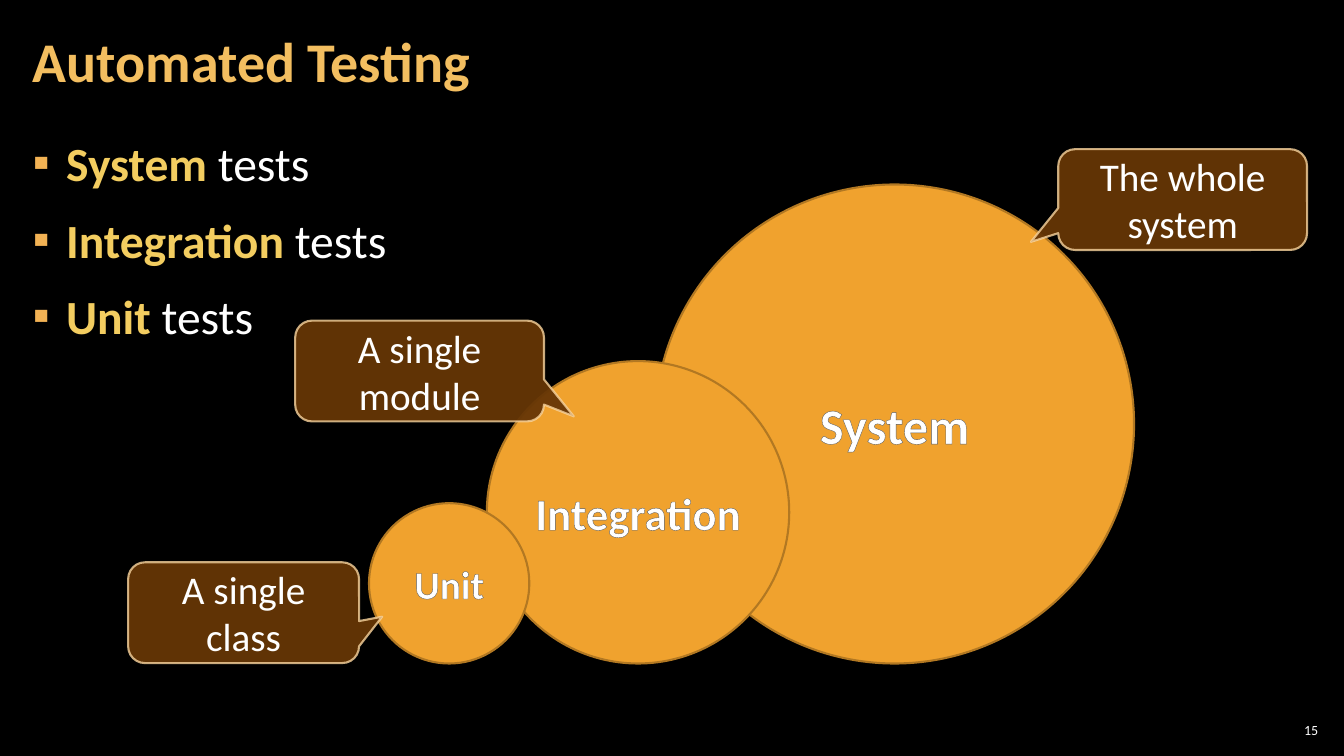
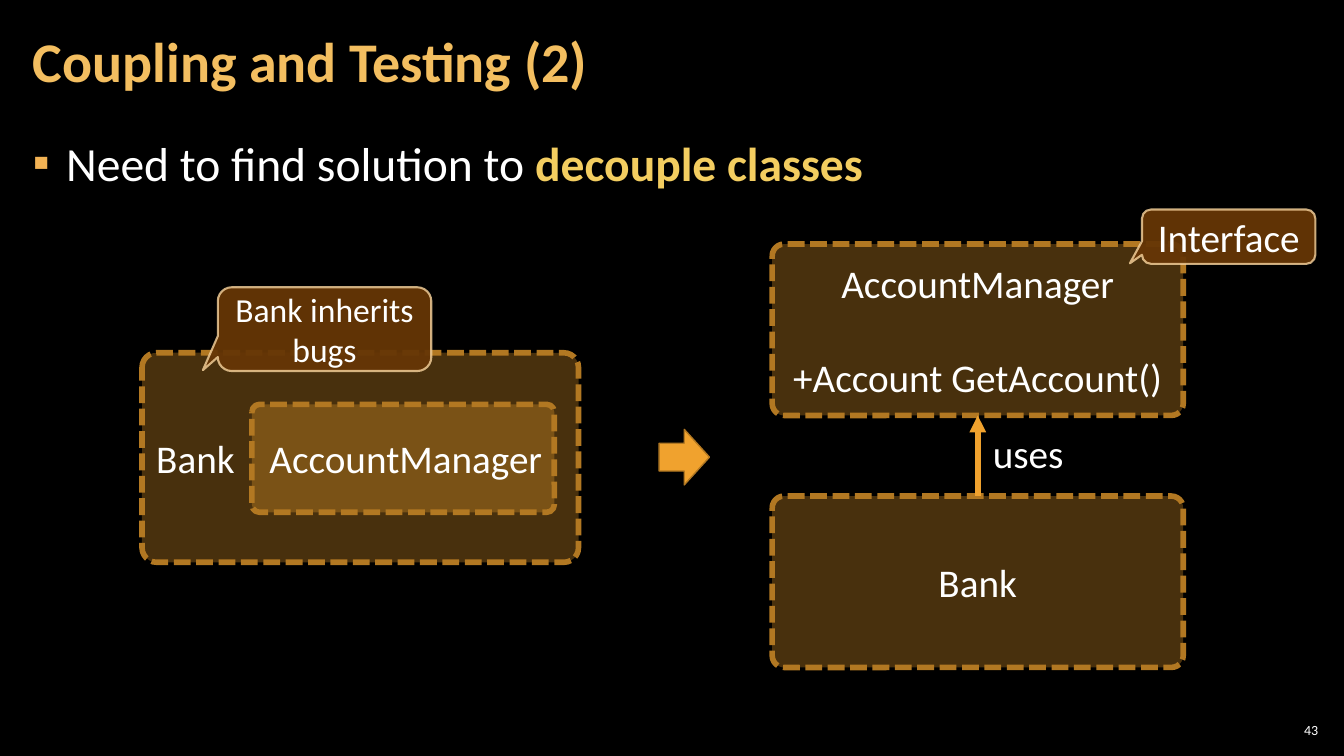
"""Build two dark slides about automated testing and decoupling classes."""
from lxml.etree import SubElement
from pptx import Presentation
from pptx.dml.color import RGBColor
from pptx.enum.dml import MSO_LINE
from pptx.enum.shapes import MSO_CONNECTOR, MSO_SHAPE
from pptx.enum.text import MSO_ANCHOR, PP_ALIGN
from pptx.oxml.ns import qn
from pptx.util import Cm, Pt

BLACK = RGBColor(0x00, 0x00, 0x00)
WHITE = RGBColor(0xFF, 0xFF, 0xFF)
TITLE_GOLD = RGBColor(0xF3, 0xBE, 0x60)
STRONG_YELLOW = RGBColor(0xF3, 0xCD, 0x60)
BULLET_ORANGE = RGBColor(0xF2, 0xB2, 0x54)
ORANGE = RGBColor(0xF0, 0xA2, 0x2E)
DARK_ORANGE = RGBColor(0xB2, 0x78, 0x22)
BROWN = RGBColor(0x66, 0x36, 0x06)
CREAM = RGBColor(0xF8, 0xD4, 0x9E)
OUTLINE_GREY = RGBColor(0x59, 0x59, 0x59)

SOLID = {"fill": ORANGE, "line": DARK_ORANGE, "width": 1.5}
ARROW = SOLID | {"width": 1}
CALLOUT = {"fill": BROWN, "line": CREAM, "width": 1.5, "fill_alpha": 95, "line_alpha": 80}
CLASS_BOX = {"fill": ORANGE, "line": DARK_ORANGE, "width": 4, "fill_alpha": 30,
             "dash": MSO_LINE.SQUARE_DOT}

PLAIN = {"bold": False, "color": WHITE}
STRONG = {"bold": True, "color": STRONG_YELLOW}
HEADING = {"bold": True, "color": TITLE_GOLD}
LABEL = {"bold": True, "color": WHITE}

CENTER = {"alignment": PP_ALIGN.CENTER}
RIGHT = {"alignment": PP_ALIGN.RIGHT}
TITLE_LINE = {"line_spacing": 0.9}
BODY_LINE = {"line_spacing": 1.05, "space_before": Pt(6), "space_after": Pt(6)}
MIDDLE = {"word_wrap": True, "vertical_anchor": MSO_ANCHOR.MIDDLE}
TOP = {"word_wrap": True, "vertical_anchor": MSO_ANCHOR.TOP}
UNWRAPPED = {"word_wrap": False}
WIDE = {"margin_left": Cm(0.3), "margin_right": Cm(0.3),
        "margin_top": Cm(0.1), "margin_bottom": Cm(0.1)}
NARROW = dict.fromkeys(WIDE, Cm(0.1))
NO_SIDES = {"margin_left": 0, "margin_right": 0}


def write_text(box, lines, size, frame_format, line_format):
    """Fill a box with lines, each a list of (text, font format) pairs."""
    frame = box.text_frame
    for name, value in frame_format.items():
        setattr(frame, name, value)
    for index, line in enumerate(lines):
        para = frame.add_paragraph() if index else frame.paragraphs[0]
        for name, value in line_format.items():
            setattr(para, name, value)
        for text, look in line:
            span = para.add_run()
            span.text = text
            span.font.name = "Calibri"
            span.font.size = Pt(size)
            span.font.bold = look["bold"]
            span.font.color.rgb = look["color"]


def add_box(shapes, kind, place, style, adjustments=()):
    """Add a preset shape with the given style."""
    box = shapes.add_shape(kind, *map(Cm, place))
    box.shadow.inherit = False
    for index, value in enumerate(adjustments):
        box.adjustments[index] = value
    box.fill.solid()
    box.fill.fore_color.rgb = style["fill"]
    box.line.color.rgb = style["line"]
    box.line.width = Pt(style["width"])
    if "dash" in style:
        box.line.dash_style = style["dash"]
    properties = box._element.spPr
    for name, parent in (("fill_alpha", properties), ("line_alpha", properties.find(qn("a:ln")))):
        if name in style:
            color = parent.find(qn("a:solidFill")).find(qn("a:srgbClr"))
            SubElement(color, qn("a:alpha"), val=str(style[name] * 1000))
    return box


deck = Presentation()
deck.slide_width, deck.slide_height = Cm(33.87), Cm(19.05)

SLIDES = [
    ("Automated Testing", "15",
     [[(kind, STRONG), (" tests", PLAIN)] for kind in ("System", "Integration", "Unit")]),
    ("Coupling and Testing (2)", "43",
     [[("Need to find solution to ", PLAIN), ("decouple classes", STRONG)]]),
]
pages = []
for title, number, bullets in SLIDES:
    page = deck.slides.add_slide(deck.slide_layouts[6])
    page.background.fill.solid()
    page.background.fill.fore_color.rgb = BLACK
    body = page.shapes.add_textbox(Cm(0.53), Cm(3.2), Cm(32.79), Cm(15.47))
    write_text(body, bullets, 34, TOP | WIDE, BODY_LINE)
    for index, para in enumerate(body.text_frame.paragraphs):
        if index == 0:
            para.space_before = Pt(0)
        properties = para._p.get_or_add_pPr()
        properties.set("marL", str(Cm(0.84)))
        properties.set("indent", str(-Cm(0.84)))
        bullet_color = SubElement(properties, qn("a:buClr"))
        SubElement(bullet_color, qn("a:srgbClr"), val=str(BULLET_ORANGE))
        SubElement(properties, qn("a:buFont"), typeface="Calibri")
        SubElement(properties, qn("a:buChar"), char="▪")
    footer = page.shapes.add_textbox(Cm(32.13), Cm(18.14), Cm(1.19), Cm(0.53))
    write_text(footer, [[(number, PLAIN)]], 10, MIDDLE | NARROW, RIGHT)
    heading = page.shapes.add_textbox(Cm(0.53), Cm(0.1), Cm(26.59), Cm(3.07))
    write_text(heading, [[(title, HEADING)]], 40, MIDDLE | WIDE, TITLE_LINE)
    pages.append(page)
testing_page, coupling_page = pages

CIRCLE_BOTTOM = 16.72
CIRCLES = [
    ("System", 16.51, 12.07, 36, {}),
    ("Integration", 12.27, 7.62, 32, NO_SIDES),
    ("Unit", 9.3, 4.04, 28, {}),
]
for text, left, diameter, size, margins in CIRCLES:
    place = (left, CIRCLE_BOTTOM - diameter, diameter, diameter)
    circle = add_box(testing_page.shapes, MSO_SHAPE.OVAL, place, SOLID)
    write_text(circle, [[(text, LABEL)]], size, MIDDLE | margins, CENTER)
    for span in circle.text_frame.paragraphs[0].runs:
        properties = span._r.get_or_add_rPr()
        outline = SubElement(properties, qn("a:ln"), w=str(Pt(0.75)))
        outline_fill = SubElement(outline, qn("a:solidFill"))
        SubElement(outline_fill, qn("a:srgbClr"), val=str(OUTLINE_GREY))
        properties.insert(0, outline)

before_group = coupling_page.shapes.add_group_shape().shapes
after_group = coupling_page.shapes.add_group_shape().shapes
AFTER_LEFT, AFTER_WIDTH, AFTER_HEIGHT = 19.46, 10.36, 4.32
INTERFACE_TOP, USER_TOP = 6.15, 12.5
CLASSES = [
    (before_group, (3.58, 8.89, 11, 5.28), ["Bank"], {"alignment": PP_ALIGN.LEFT}),
    (before_group, (6.35, 10.19, 7.62, 2.72), ["AccountManager"], RIGHT),
    (after_group, (AFTER_LEFT, USER_TOP, AFTER_WIDTH, AFTER_HEIGHT), ["Bank"], CENTER),
    (after_group, (AFTER_LEFT, INTERFACE_TOP, AFTER_WIDTH, AFTER_HEIGHT),
     ["AccountManager", "+Account GetAccount()"], CENTER),
]
for shapes, place, texts, line_format in CLASSES:
    class_box = add_box(shapes, MSO_SHAPE.ROUNDED_RECTANGLE, place, CLASS_BOX, [0.07])
    write_text(class_box, [[(text, PLAIN)] for text in texts], 28, MIDDLE, line_format)
    for para in class_box.text_frame.paragraphs[1:]:
        para.space_before = Pt(34)

middle = Cm(AFTER_LEFT + AFTER_WIDTH / 2)
uses_arrow = after_group.add_connector(
    MSO_CONNECTOR.STRAIGHT, middle, Cm(USER_TOP), middle, Cm(INTERFACE_TOP + AFTER_HEIGHT))
uses_arrow.line.color.rgb = ORANGE
uses_arrow.line.width = Pt(4)
arrow_properties = uses_arrow._element.spPr
SubElement(arrow_properties.find(qn("a:ln")), qn("a:tailEnd"), type="triangle")
SubElement(arrow_properties, qn("a:effectLst"))
uses_label = after_group.add_textbox(Cm(24.77), Cm(10.69), Cm(2.31), Cm(1.45))
write_text(uses_label, [[("uses", PLAIN)]], 28, UNWRAPPED, {})
add_box(after_group, MSO_SHAPE.RIGHT_ARROW, (16.61, 10.82, 1.27, 1.4), ARROW)

CALLOUTS = [
    (testing_page, "A single class", (3.23, 14.17, 5.82, 2.54), (0.6, 0.04), 28),
    (testing_page, "The whole system", (26.67, 3.76, 6.27, 2.54), (-0.61, 0.42), 28),
    (testing_page, "A single module", (7.44, 8.08, 6.27, 2.54), (0.62, 0.45), 28),
    (coupling_page, "Interface", (28.78, 5.28, 4.37, 1.37), (-0.57, 0.49), 28),
    (coupling_page, "Bank inherits bugs", (5.49, 7.24, 5.38, 2.11), (-0.57, 0.49), 24),
]
for page, text, place, tip, size in CALLOUTS:
    callout = add_box(page.shapes, MSO_SHAPE.ROUNDED_RECTANGULAR_CALLOUT, place, CALLOUT, tip)
    write_text(callout, [[(text, PLAIN)]], size, MIDDLE, CENTER)

deck.save("out.pptx")
